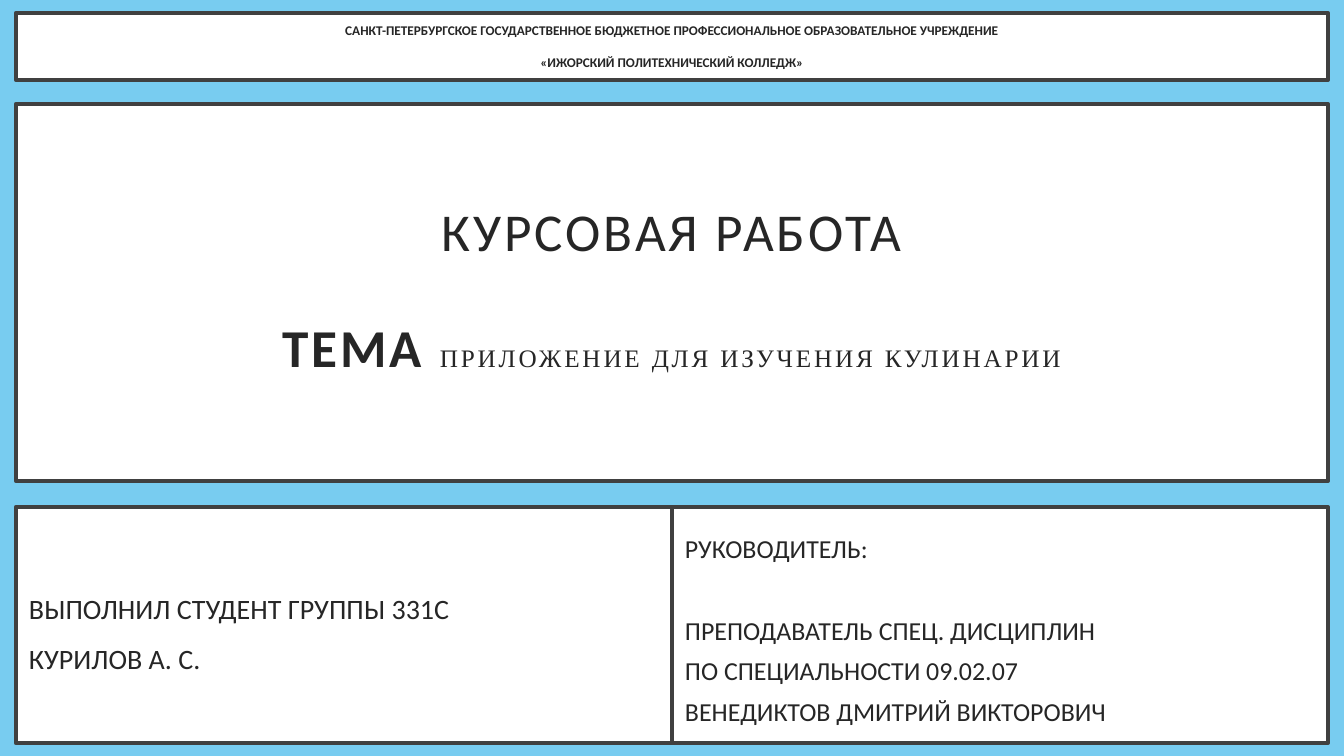
from pptx import Presentation
from pptx.dml.color import RGBColor
from pptx.enum.shapes import MSO_SHAPE
from pptx.enum.text import MSO_ANCHOR, PP_ALIGN
from pptx.util import Emu, Pt

RECT = MSO_SHAPE.RECTANGLE
MIDDLE = MSO_ANCHOR.MIDDLE
CENTER, LEFT = PP_ALIGN.CENTER, PP_ALIGN.LEFT
COLORS = {"background": "78CCF0", "panel": "FFFFFF", "border": "404040", "text": "262626"}
EMU_PER_PX = 914400 / 100.8
SLIDE_W, SLIDE_H = 1344, 756
MARGIN = 16
PANEL_W = SLIDE_W - 2 * MARGIN


def px(n):
    return Emu(round(n * EMU_PER_PX))


def rgb(name):
    return RGBColor.from_string(COLORS[name])


def add_panel(slide, box, inset_x, inset_y):
    """Add a bordered white rectangle and return its text frame."""
    sp = slide.shapes.add_shape(RECT, *map(px, box))
    sp.shadow.inherit = False
    sp.fill.solid()
    sp.fill.fore_color.rgb = rgb("panel")
    sp.line.color.rgb = rgb("border")
    sp.line.width = Pt(3)
    tf = sp.text_frame
    tf.word_wrap = True
    tf.vertical_anchor = MIDDLE
    tf.margin_left = tf.margin_right = px(inset_x)
    tf.margin_top = tf.margin_bottom = px(inset_y)
    return tf


def add_paragraph(tf, first, align, line_spacing=1.0, space_before=0):
    p = tf.paragraphs[0] if first else tf.add_paragraph()
    p.alignment = align
    p.line_spacing = line_spacing
    p.space_before = Pt(0 if first else space_before)
    return p


def add_run(p, text, size, bold=False, font="Calibri", spacing=0):
    r = p.add_run()
    r.text = text
    r.font.size = Pt(size)
    r.font.bold = bold
    r.font.name = font
    r.font.color.rgb = rgb("text")
    if spacing:
        r.font._element.set("spc", str(spacing * 100))


def add_college_header(slide, box):
    tf = add_panel(slide, box, 30, 20)
    lines = [
        "САНКТ-ПЕТЕРБУРГСКОЕ ГОСУДАРСТВЕННОЕ БЮДЖЕТНОЕ ПРОФЕССИОНАЛЬНОЕ ОБРАЗОВАТЕЛЬНОЕ УЧРЕЖДЕНИЕ",
        "«ИЖОРСКИЙ ПОЛИТЕХНИЧЕСКИЙ КОЛЛЕДЖ»",
    ]
    for i, line in enumerate(lines):
        p = add_paragraph(tf, i == 0, CENTER, space_before=11.6)
        add_run(p, line, 9.5, bold=True)


def add_title(slide, box):
    tf = add_panel(slide, box, 30, 20)
    p = add_paragraph(tf, True, CENTER, 0.9)
    add_run(p, "КУРСОВАЯ РАБОТА", 38, spacing=2)
    p = add_paragraph(tf, False, CENTER, 0.9, 41.7)
    add_run(p, "ТЕМА ", 38, bold=True, spacing=2)
    add_run(p, "ПРИЛОЖЕНИЕ ДЛЯ ИЗУЧЕНИЯ КУЛИНАРИИ", 18, font="Times New Roman", spacing=2)


def add_person(slide, box, lines, size, line_spacing, heading_gap=0):
    """Add a left-aligned panel; heading_gap follows its first line."""
    tf = add_panel(slide, box, 13, 13)
    for i, line in enumerate(lines):
        p = add_paragraph(tf, i == 0, LEFT, line_spacing, heading_gap if i == 1 else 0)
        add_run(p, line, size)


def main():
    prs = Presentation()
    prs.slide_width, prs.slide_height = px(SLIDE_W), px(SLIDE_H)
    slide = prs.slides.add_slide(prs.slide_layouts[6])
    slide.background.fill.solid()
    slide.background.fill.fore_color.rgb = rgb("background")

    add_title(slide, (MARGIN, 104, PANEL_W, 377))
    add_college_header(slide, (MARGIN, 13, PANEL_W, 67))
    half = PANEL_W // 2
    supervisor = [
        "РУКОВОДИТЕЛЬ:",
        "ПРЕПОДАВАТЕЛЬ СПЕЦ. ДИСЦИПЛИН",
        "ПО СПЕЦИАЛЬНОСТИ 09.02.07",
        "ВЕНЕДИКТОВ ДМИТРИЙ ВИКТОРОВИЧ",
    ]
    student = ["ВЫПОЛНИЛ СТУДЕНТ ГРУППЫ 331С", "КУРИЛОВ А. С."]
    add_person(slide, (MARGIN + half, 507, half, 236), supervisor, 18.5, 1.3, 29.3)
    add_person(slide, (MARGIN, 507, half, 236), student, 20, 1.5)
    prs.save("out.pptx")


if __name__ == "__main__":
    main()
